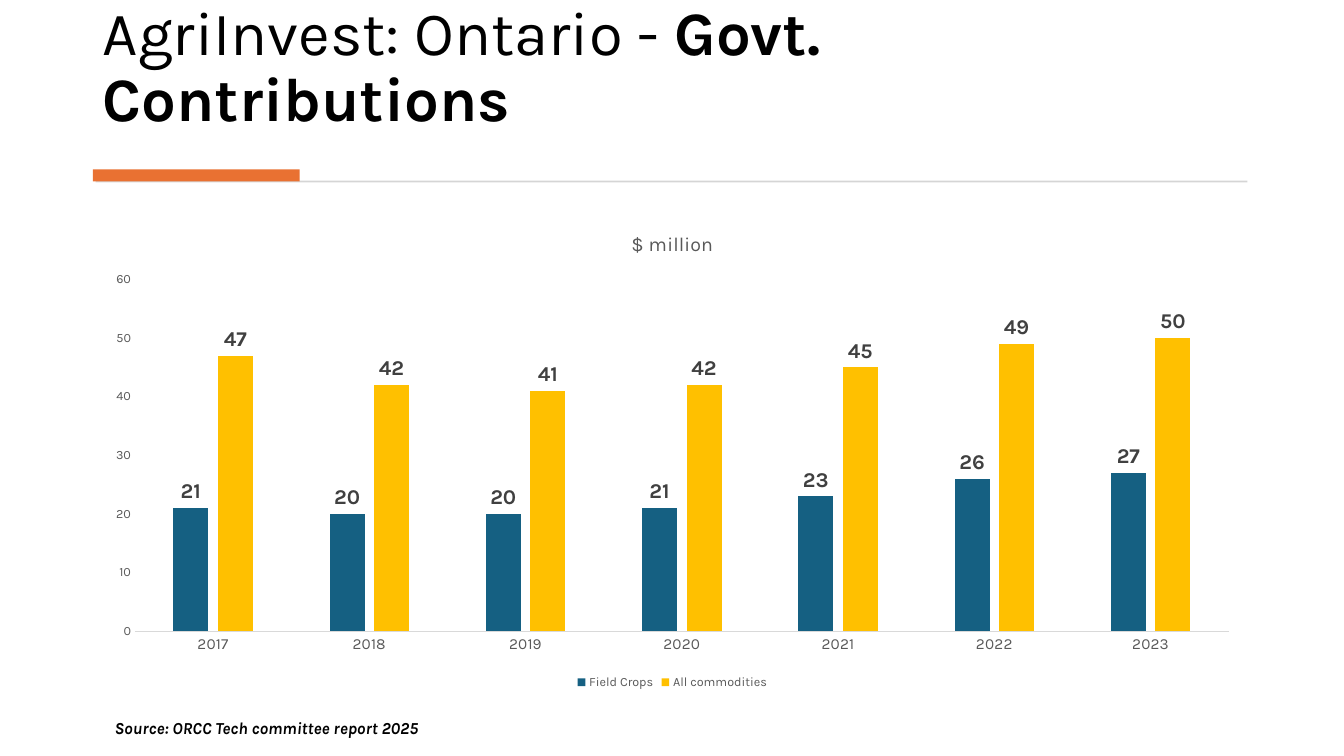
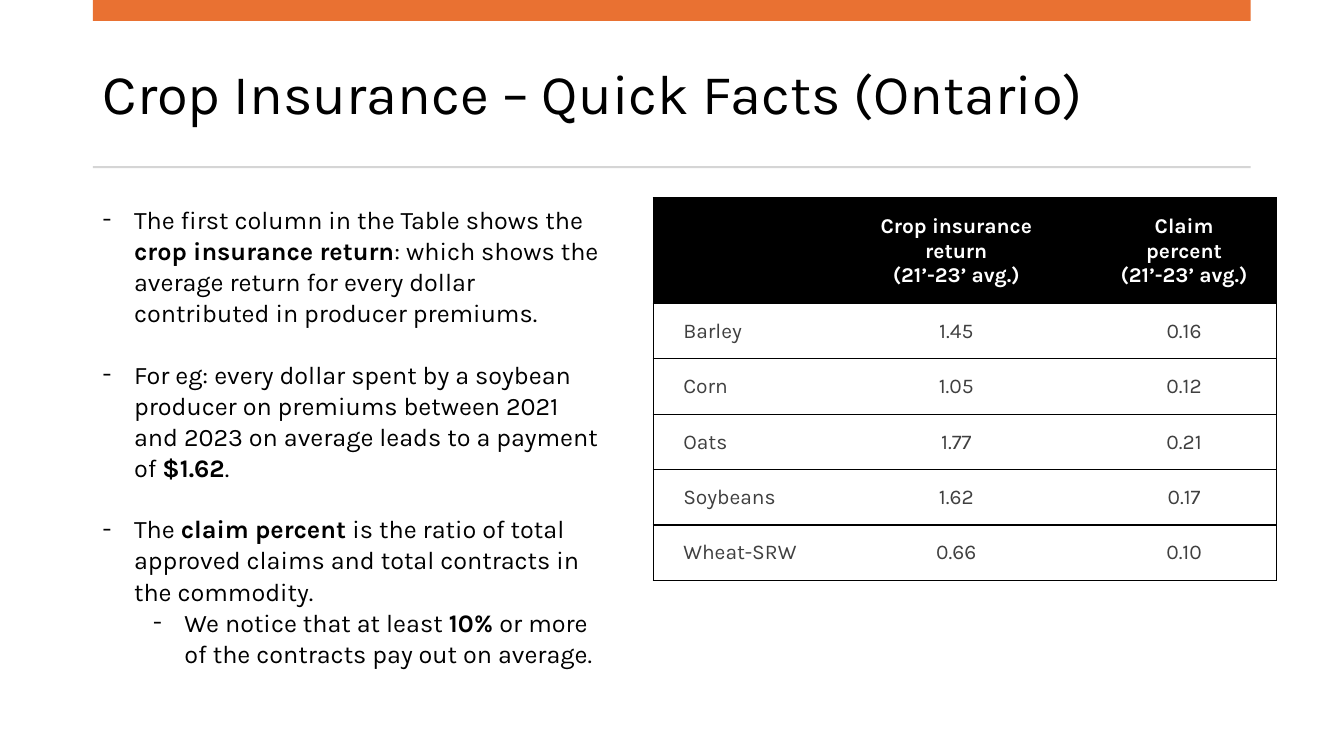
from dataclasses import dataclass

from lxml import etree
from pptx import Presentation
from pptx.chart.data import CategoryChartData
from pptx.dml.color import RGBColor
from pptx.enum.chart import XL_CHART_TYPE, XL_LABEL_POSITION, XL_LEGEND_POSITION, XL_TICK_MARK
from pptx.enum.shapes import MSO_SHAPE
from pptx.enum.text import MSO_ANCHOR, PP_ALIGN
from pptx.oxml.ns import qn
from pptx.util import Cm, Pt

COLUMNS = XL_CHART_TYPE.COLUMN_CLUSTERED
OUTSIDE = XL_LABEL_POSITION.OUTSIDE_END
LEGEND_BOTTOM = XL_LEGEND_POSITION.BOTTOM
NO_TICK = XL_TICK_MARK.NONE
RECT = MSO_SHAPE.RECTANGLE
TOP, MIDDLE, BOTTOM = MSO_ANCHOR.TOP, MSO_ANCHOR.MIDDLE, MSO_ANCHOR.BOTTOM
LEFT, CENTER = PP_ALIGN.LEFT, PP_ALIGN.CENTER

FONT = "Karla"
BLACK, WHITE = "000000", "FFFFFF"
ORANGE, RULE = "E97132", "D5D5D5"
DARK, GREY, AXIS = "404040", "595959", "D9D9D9"
MARGIN, WIDTH = 2.34, 29.18
HANGING = 0.79


@dataclass
class Box:
    """A place on the slide, in centimetres."""
    left: float
    top: float
    width: float
    height: float

    def lengths(self):
        return Cm(self.left), Cm(self.top), Cm(self.width), Cm(self.height)


@dataclass
class Series:
    name: str
    values: tuple
    color: str


@dataclass
class Bullet:
    text: str
    indent: float = HANGING
    before: float = 0


YEARS = [str(year) for year in range(2017, 2024)]
CONTRIBUTIONS = [
    Series("Field Crops", (21, 20, 20, 21, 23, 26, 27), "156082"),
    Series("All commodities", (47, 42, 41, 42, 45, 49, 50), "FFC000"),
]
FACTS = [
    Bullet("The first column in the Table shows the **crop insurance return**: which shows "
           "the average return for every dollar contributed in producer premiums."),
    Bullet("For eg: every dollar spent by a soybean producer on premiums between 2021 and "
           "2023 on average leads to a payment of **$1.62**.", before=21.6),
    Bullet("The **claim percent **is the ratio of total approved claims and total "
           "contracts in the commodity.", before=21.6),
    Bullet("We notice that at least **10% **or more of the contracts pay out on average.",
           indent=2.06),
]
CROP_ROWS = [
    ("", "Crop insurance return\n(21’-23’ avg.)", "Claim percent\n(21’-23’ avg.)"),
    ("Barley", "1.45", "0.16"),
    ("Corn", "1.05", "0.12"),
    ("Oats", "1.77", "0.21"),
    ("Soybeans", "1.62", "0.17"),
    ("Wheat-SRW", "0.66", "0.10"),
]
COLUMN_WIDTHS = (4.22, 6.68, 4.8)
HEADER_HEIGHT, ROW_HEIGHT = 2.6, 1.37


def rgb(color: str) -> RGBColor:
    return RGBColor.from_string(color)


def set_font(font, size, color=BLACK, bold=False, italic=False):
    font.name, font.size = FONT, Pt(size)
    font.bold, font.italic = bold, italic
    font.color.rgb = rgb(color)


def write(p, text, size, color=BLACK, bold=False, italic=False, align=LEFT, spacing=1.0, before=0):
    """Fill a paragraph; parts between ** marks are bold."""
    p.alignment, p.line_spacing, p.space_before = align, spacing, Pt(before)
    for i, part in enumerate(text.split("**")):
        if part:
            r = p.add_run()
            r.text = part
            set_font(r.font, size, color, bold or i % 2 == 1, italic)


def add_text_frame(slide, box: Box, anchor=TOP):
    tf = slide.shapes.add_textbox(*box.lengths()).text_frame
    tf.word_wrap, tf.vertical_anchor = True, anchor
    return tf


def add_title(slide, text: str, size: float, top: float, height: float, anchor):
    tf = add_text_frame(slide, Box(MARGIN, top, 29.1, height), anchor)
    write(tf.paragraphs[0], text, size, spacing=0.9)


def add_band(slide, box: Box, color: str):
    sp = slide.shapes.add_shape(RECT, *box.lengths())
    sp.shadow.inherit = False
    sp.fill.solid()
    sp.fill.fore_color.rgb = rgb(color)
    sp.line.fill.background()


def add_contributions_chart(slide, box: Box):
    data = CategoryChartData()
    data.categories = YEARS
    for series in CONTRIBUTIONS:
        data.add_series(series.name, series.values)
    chart = slide.shapes.add_chart(COLUMNS, *box.lengths(), data).chart
    set_font(chart.font, 10)

    chart.has_title = True
    write(chart.chart_title.text_frame.paragraphs[0], "$ million", 14, GREY, align=CENTER)
    chart.chart_title.include_in_layout = False
    chart.has_legend = True
    chart.legend.position = LEGEND_BOTTOM
    chart.legend.include_in_layout = False
    set_font(chart.legend.font, 9, GREY)

    for axis, size in ((chart.category_axis, 11), (chart.value_axis, 9)):
        axis.major_tick_mark = axis.minor_tick_mark = NO_TICK
        axis.has_major_gridlines = False
        set_font(axis.tick_labels.font, size, GREY)
    chart.category_axis.format.line.color.rgb = rgb(AXIS)
    chart.category_axis.format.line.width = Pt(0.75)
    chart.value_axis.format.line.fill.background()
    chart.value_axis.minimum_scale, chart.value_axis.maximum_scale = 0, 60
    chart.value_axis.major_unit = 10

    plot = chart.plots[0]
    plot.gap_width, plot.overlap, plot.vary_by_categories = 219, -27, False
    for drawn, series in zip(plot.series, CONTRIBUTIONS):
        drawn.format.fill.solid()
        drawn.format.fill.fore_color.rgb = rgb(series.color)
        labels = drawn.data_labels
        labels.show_value, labels.position = True, OUTSIDE
        set_font(labels.font, 15, DARK, bold=True)


def set_borders(cell, visible: dict):
    """Draw the named sides in black and clear the others."""
    tc_pr = cell._tc.get_or_add_tcPr()
    for i, (side, shown) in enumerate(visible.items()):
        ln = etree.Element(qn(f"a:{side}"), w=str(Pt(1)))
        if shown:
            fill = etree.SubElement(ln, qn("a:solidFill"))
            etree.SubElement(fill, qn("a:srgbClr"), val=BLACK)
        else:
            etree.SubElement(ln, qn("a:noFill"))
        tc_pr.insert(i, ln)


def add_crop_table(slide, left: float, top: float):
    heights = [HEADER_HEIGHT] + [ROW_HEIGHT] * (len(CROP_ROWS) - 1)
    box = Box(left, top, sum(COLUMN_WIDTHS), sum(heights))
    table = slide.shapes.add_table(len(heights), len(COLUMN_WIDTHS), *box.lengths()).table
    table.horz_banding = False
    for column, width in zip(table.columns, COLUMN_WIDTHS):
        column.width = Cm(width)
    last = len(COLUMN_WIDTHS) - 1
    for i, (row, height, texts) in enumerate(zip(table.rows, heights, CROP_ROWS)):
        row.height = Cm(height)
        header = i == 0
        for j, (cell, text) in enumerate(zip(row.cells, texts)):
            cell.fill.solid()
            cell.fill.fore_color.rgb = rgb(BLACK if header else WHITE)
            cell.vertical_anchor = BOTTOM
            cell.margin_left, cell.margin_right = Cm(0.76), Cm(0.6)
            cell.margin_top = cell.margin_bottom = Cm(0.38)
            tf = cell.text_frame
            for k, line in enumerate(text.split("\n")):
                p = tf.add_paragraph() if k else tf.paragraphs[0]
                write(p, line, 15, WHITE if header else DARK, bold=header,
                      align=CENTER if j else LEFT)
            set_borders(cell, {"lnL": j == 0, "lnR": j == last, "lnT": True, "lnB": True})


def add_bullets(slide, box: Box, bullets: list):
    tf = add_text_frame(slide, box)
    for i, bullet in enumerate(bullets):
        p = tf.add_paragraph() if i else tf.paragraphs[0]
        write(p, bullet.text, 18, spacing=1.03, before=bullet.before)
        p.level = int(bullet.indent > HANGING)
        p_pr = p._p.get_or_add_pPr()
        p_pr.set("marL", str(Cm(bullet.indent)))
        p_pr.set("indent", str(-Cm(HANGING)))
        etree.SubElement(p_pr, qn("a:buFont"), typeface=FONT)
        etree.SubElement(p_pr, qn("a:buChar"), char="-")


def build_contributions(slide):
    add_title(slide, "AgriInvest: Ontario - **Govt. Contributions**", 44, 0.71, 2.82, BOTTOM)
    add_band(slide, Box(2.41, 4.55, 29.03, 0.05), RULE)
    add_band(slide, Box(MARGIN, 4.27, 5.21, 0.3), ORANGE)
    tf = add_text_frame(slide, Box(2.64, 17.96, 14.68, 0.76))
    write(tf.paragraphs[0], "Source: ORCC Tech committee report 2025", 12, bold=True, italic=True)
    add_contributions_chart(slide, Box(MARGIN, 5.36, 29.21, 12.12))


def build_quick_facts(slide):
    add_title(slide, "Crop Insurance – Quick Facts (Ontario)", 40, 0.94, 3, MIDDLE)
    add_band(slide, Box(MARGIN, 0, WIDTH, 0.53), ORANGE)
    add_band(slide, Box(MARGIN, 4.19, WIDTH, 0.05), RULE)
    add_crop_table(slide, 16.46, 4.98)
    add_bullets(slide, Box(MARGIN, 5, 13.16, 13.34), FACTS)


def main():
    prs = Presentation()
    prs.slide_width, prs.slide_height = Cm(33.87), Cm(19.05)
    blank = prs.slide_layouts[6]
    for build in (build_contributions, build_quick_facts):
        build(prs.slides.add_slide(blank))
    prs.save("out.pptx")


if __name__ == "__main__":
    main()
